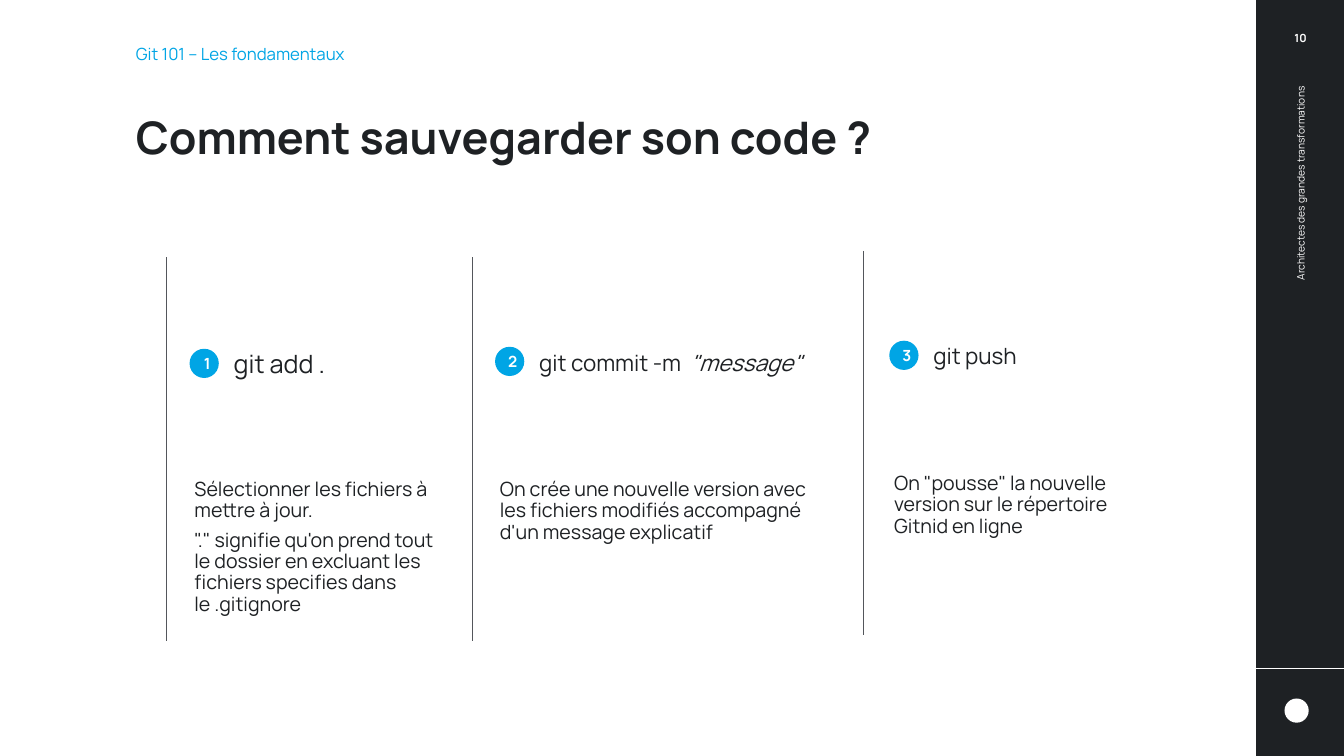
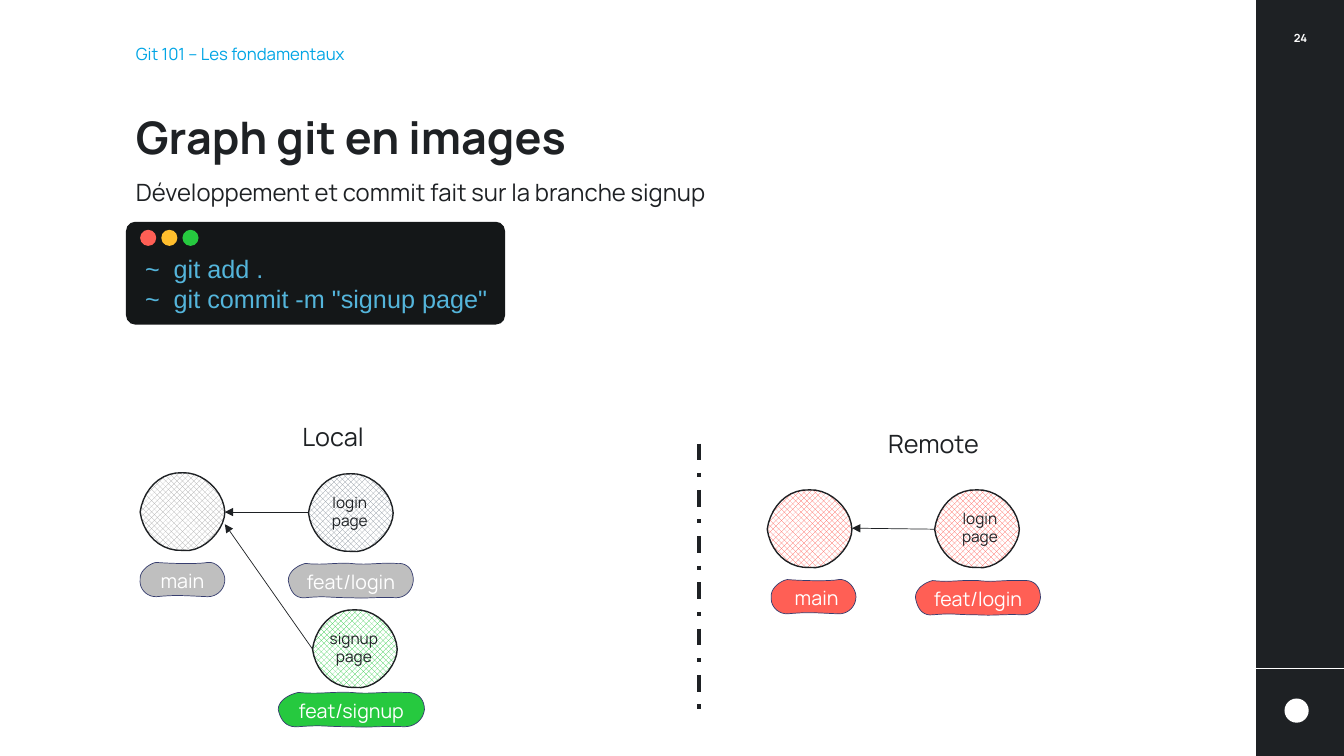
"""Build two slides on the basics of Git."""
import dataclasses
import typing

import lxml.etree
import pptx
import pptx.dml.color
import pptx.enum.dml
import pptx.enum.shapes
import pptx.enum.text
import pptx.oxml.ns
import pptx.util

RGB = pptx.dml.color.RGBColor
ALIGN = pptx.enum.text.PP_ALIGN
ANCHOR = pptx.enum.text.MSO_ANCHOR
SHAPE = pptx.enum.shapes.MSO_SHAPE
SCALE = 9144

INK = RGB(0x1E, 0x21, 0x24)
WHITE = RGB(0xFF, 0xFF, 0xFF)
BLUE = RGB(0x00, 0xA5, 0xE5)
SLATE = RGB(0x53, 0x56, 0x5B)
NAVY = RGB(0x37, 0x3E, 0x6F)
NIGHT = RGB(0x14, 0x17, 0x18)
CODE = RGB(0x54, 0xB5, 0xDB)
RED = RGB(0xFF, 0x5F, 0x55)
AMBER = RGB(0xFF, 0xBE, 0x2D)
GREEN = RGB(0x26, 0xC9, 0x3F)
SILVER = RGB(0xBF, 0xBF, 0xBF)
GREY = RGB(0xA6, 0xA6, 0xA6)
STEEL = RGB(0x86, 0x90, 0x9A)


class Box(typing.NamedTuple):
    left: int
    top: int
    width: int
    height: int


class Face(typing.NamedTuple):
    size: float
    color: RGB = INK
    bold: bool = False
    italic: bool = False
    font: str = "Manrope"


class Run(typing.NamedTuple):
    text: str
    face: Face


@dataclasses.dataclass(frozen=True)
class Layout:
    align: ALIGN = ALIGN.LEFT
    anchor: ANCHOR = ANCHOR.TOP
    pitch: float = 1.0
    gap: float = 0
    turn: int = 0


@dataclasses.dataclass(frozen=True)
class Step:
    rule: int
    top: int
    badge: int
    mid: int
    width: int
    head: list[Run]
    body: list[str]


@dataclasses.dataclass(frozen=True)
class Node:
    left: int
    top: int
    width: int
    color: RGB
    edge: tuple[int, ...]
    label: str = ""
    shift: int = 0


DISC = (0, 39, 3, 18, 19, -1, 42, 0, 62, -1, 83, 18, 84, 39,
        84, 56, 63, 80, 42, 77, 20, 78, 3, 61, 0, 39)
SHORT = (0, 17, -1, 9, 9, 1, 16, 0, 27, 1, 57, 2, 67, 0, 77, -1, 84, 10, 84, 17,
         84, 26, 77, 34, 67, 34, 43, 33, 37, 32, 16, 34, 6, 34, -1, 26, 0, 17)
LONG = (0, 17, 0, 8, 9, 2, 17, 0, 34, 2, 47, -1, 62, 0, 77, 2, 90, -1, 107, 0,
        118, -1, 124, 6, 124, 17, 123, 27, 116, 34, 107, 34, 87, 33, 82, 35,
        61, 34, 40, 34, 37, 32, 17, 34, 7, 35, 2, 28, 0, 17)
STEPS = [
    Step(165, 255, 188, 346, 262, [Run("git add .", Face(18))],
         ["Sélectionner les fichiers à mettre à jour.",
          "\".\" signifie qu'on prend tout le dossier en excluant les "
          "fichiers specifies dans le .gitignore"]),
    Step(469, 255, 491, 344, 337,
         [Run("git commit -m  ", Face(16)),
          Run('"message"', Face(16, italic=True))],
         ["On crée une nouvelle version avec les fichiers "
          "modifiés accompagné d'un message explicatif"]),
    Step(856, 249, 882, 338, 247, [Run("git push", Face(16))],
         ['On "pousse" la nouvelle version sur le '
          "répertoire Gitnid en ligne"]),
]
NODES = [
    Node(139, 469, 84, GREY, DISC),
    Node(306, 470, 84, STEEL, DISC, "login page", -1),
    Node(310, 605, 84, GREEN, DISC, "signup page", -1),
    Node(761, 486, 84, RED, DISC),
    Node(927, 486, 84, RED, DISC, "login page", 3),
    Node(139, 558, 84, SILVER, SHORT, "main"),
    Node(286, 559, 124, SILVER, LONG, "feat/login"),
    Node(276, 687, 145, GREEN, LONG, "feat/signup"),
    Node(765, 575, 84, RED, SHORT, "main", 3),
    Node(908, 576, 124, RED, LONG, "feat/login"),
]
ARROWS = [(306, 508, 223, 508), (310, 644, 223, 520), (927, 525, 845, 524)]


def px(num: float) -> pptx.util.Emu:
    return pptx.util.Emu(round(num * SCALE))


def put(para: typing.Any, runs: list[Run]) -> None:
    for item in runs:
        run = para.add_run()
        run.text = item.text
        font = run.font
        font.name = item.face.font
        font.size = pptx.util.Pt(item.face.size)
        font.bold = item.face.bold
        font.italic = item.face.italic
        font.color.rgb = item.face.color


def write(slide: typing.Any, box: Box, paras: list[list[Run]],
          form: Layout = Layout()) -> None:
    area = slide.shapes.add_textbox(*map(px, box))
    area.rotation = form.turn
    frame = area.text_frame
    frame.word_wrap = True
    frame.vertical_anchor = form.anchor
    for pos, runs in enumerate(paras):
        para = frame.add_paragraph() if pos else frame.paragraphs[0]
        para.alignment = form.align
        para.line_spacing = form.pitch
        if pos:
            para.space_before = pptx.util.Pt(form.gap)
        put(para, runs)


def solid(slide: typing.Any, kind: SHAPE, box: Box, color: RGB) -> typing.Any:
    shape = slide.shapes.add_shape(kind, *map(px, box))
    shape.shadow.inherit = False
    shape.fill.solid()
    shape.fill.fore_color.rgb = color
    shape.line.fill.background()
    return shape


def rule(slide: typing.Any, ends: tuple[int, int, int, int], color: RGB,
         width: float, arrow: bool = False) -> typing.Any:
    link = slide.shapes.add_connector(
        pptx.enum.shapes.MSO_CONNECTOR.STRAIGHT, *map(px, ends))
    link.line.color.rgb = color
    link.line.width = pptx.util.Pt(width)
    name = pptx.oxml.ns.qn
    props = link._element.spPr
    if arrow:
        lxml.etree.SubElement(props.find(name("a:ln")), name("a:tailEnd"),
                              type="triangle")
    lxml.etree.SubElement(props, name("a:effectLst"))
    return link


def curve(nums: tuple[int, ...]) -> list[tuple[float, float]]:
    knots = list(zip(nums[::2], nums[1::2]))
    spots: list[tuple[float, float]] = [knots[0]]
    for pos in range(0, len(knots) - 1, 3):
        for part in range(1, 11):
            t = part / 10
            mix = ((1 - t) ** 3, 3 * t * (1 - t) ** 2,
                   3 * t * t * (1 - t), t ** 3)
            quad = knots[pos:pos + 4]
            spots.append((sum(m * k[0] for m, k in zip(mix, quad)),
                          sum(m * k[1] for m, k in zip(mix, quad))))
    return spots


def draw_node(slide: typing.Any, node: Node) -> None:
    ball = node.edge is DISC
    ratio = node.width / max(node.edge[::2])
    spots = [(px(node.left + x * ratio), px(node.top + y))
             for x, y in curve(node.edge)]
    pen = slide.shapes.build_freeform(*spots[0])
    pen.add_line_segments(spots[1:], close=True)
    shape = pen.convert_to_shape()
    shape.shadow.inherit = False
    shape.line.color.rgb = INK if ball else NAVY
    shape.line.width = pptx.util.Pt(1 if ball else 0.5)
    if ball:
        shape.fill.patterned()
        shape.fill.pattern = pptx.enum.dml.MSO_PATTERN.OUTLINED_DIAMOND
        shape.fill.back_color.rgb = WHITE
    else:
        shape.fill.solid()
    shape.fill.fore_color.rgb = node.color
    if node.label:
        drop, face = (14, Face(11)) if ball else (1, Face(14, WHITE))
        write(slide, Box(node.left + node.shift, node.top + drop, node.width, 34),
              [[Run(node.label, face)]], Layout(ALIGN.CENTER))


def draw_step(slide: typing.Any, num: int, step: Step) -> None:
    rule(slide, (step.rule, step.top, step.rule, step.top + 381), SLATE, 0.62)
    badge = solid(slide, SHAPE.OVAL, Box(step.badge, step.mid, 29, 29), BLUE)
    frame = badge.text_frame
    frame.word_wrap = False
    frame.margin_left = px(6)
    frame.margin_right = frame.margin_top = frame.margin_bottom = 0
    frame.vertical_anchor = ANCHOR.MIDDLE
    frame.paragraphs[0].alignment = ALIGN.CENTER
    put(frame.paragraphs[0], [Run(str(num), Face(11, WHITE, True))])
    write(slide, Box(step.badge + 34, step.top + 86, 330, 40), [step.head])
    write(slide, Box(step.badge - 5, step.top + 216, step.width, 119),
          [[Run(text, Face(14))] for text in step.body],
          Layout(pitch=0.9, gap=6.1))


def start(deck: typing.Any, title: str, num: int) -> typing.Any:
    slide = deck.slides.add_slide(deck.slide_layouts[6])
    solid(slide, SHAPE.RECTANGLE, Box(1246, 0, 87, 750), INK)
    rule(slide, (1246, 663, 1333, 663), WHITE, 0.62)
    solid(slide, SHAPE.OVAL, Box(1274, 693, 24, 24), WHITE)
    write(slide, Box(125, 108, 1080, 60), [[Run(title, Face(32, INK, True))]],
          Layout(anchor=ANCHOR.BOTTOM, pitch=0.9))
    write(slide, Box(1267, 18, 46, 40), [[Run(str(num), Face(8, WHITE, True))]],
          Layout(ALIGN.CENTER, ANCHOR.MIDDLE))
    write(slide, Box(125, 39, 1080, 29),
          [[Run("Git 101 – Les fondamentaux", Face(12, BLUE))]],
          Layout(anchor=ANCHOR.BOTTOM, pitch=1.2))
    return slide


def save_code(deck: typing.Any) -> None:
    slide = start(deck, "Comment sauvegarder son code ?", 10)
    write(slide, Box(1065, 281, 450, 40),
          [[Run("Architectes des grandes transformations", Face(7.3, WHITE))]],
          Layout(ALIGN.RIGHT, ANCHOR.MIDDLE, turn=270))
    for num, step in enumerate(STEPS, 1):
        draw_step(slide, num, step)


def show_graph(deck: typing.Any) -> None:
    slide = start(deck, "Graph git en images", 24)
    write(slide, Box(125, 175, 1080, 37),
          [[Run("Développement et commit fait sur la branche signup", Face(17))]],
          Layout(pitch=0.9))
    pane = solid(slide, SHAPE.ROUNDED_RECTANGLE, Box(125, 220, 376, 102), NIGHT)
    pane.adjustments[0] = 0.09
    for pos, color in enumerate((RED, AMBER, GREEN)):
        solid(slide, SHAPE.OVAL, Box(139 + 21 * pos, 228, 16, 16), color)
    shell = Face(18, CODE, font="Arial")
    write(slide, Box(134, 246, 367, 71),
          [[Run(text, shell)] for text in
           ("~  git add .", '~  git commit -m "signup page"')])
    split = rule(slide, (693, 440, 693, 704), INK, 3)
    split.line.dash_style = pptx.enum.dml.MSO_LINE.DASH_DOT
    for text, left, top in (("Local", 290, 413), ("Remote", 871, 420)):
        write(slide, Box(left, top, 120, 40), [[Run(text, Face(18))]])
    for node in NODES:
        draw_node(slide, node)
    for ends in ARROWS:
        rule(slide, ends, INK, 0.5, True)


def main() -> None:
    deck = pptx.Presentation()
    deck.slide_width, deck.slide_height = px(1333), px(750)
    save_code(deck)
    show_graph(deck)
    deck.save("out.pptx")


if __name__ == "__main__":
    main()
